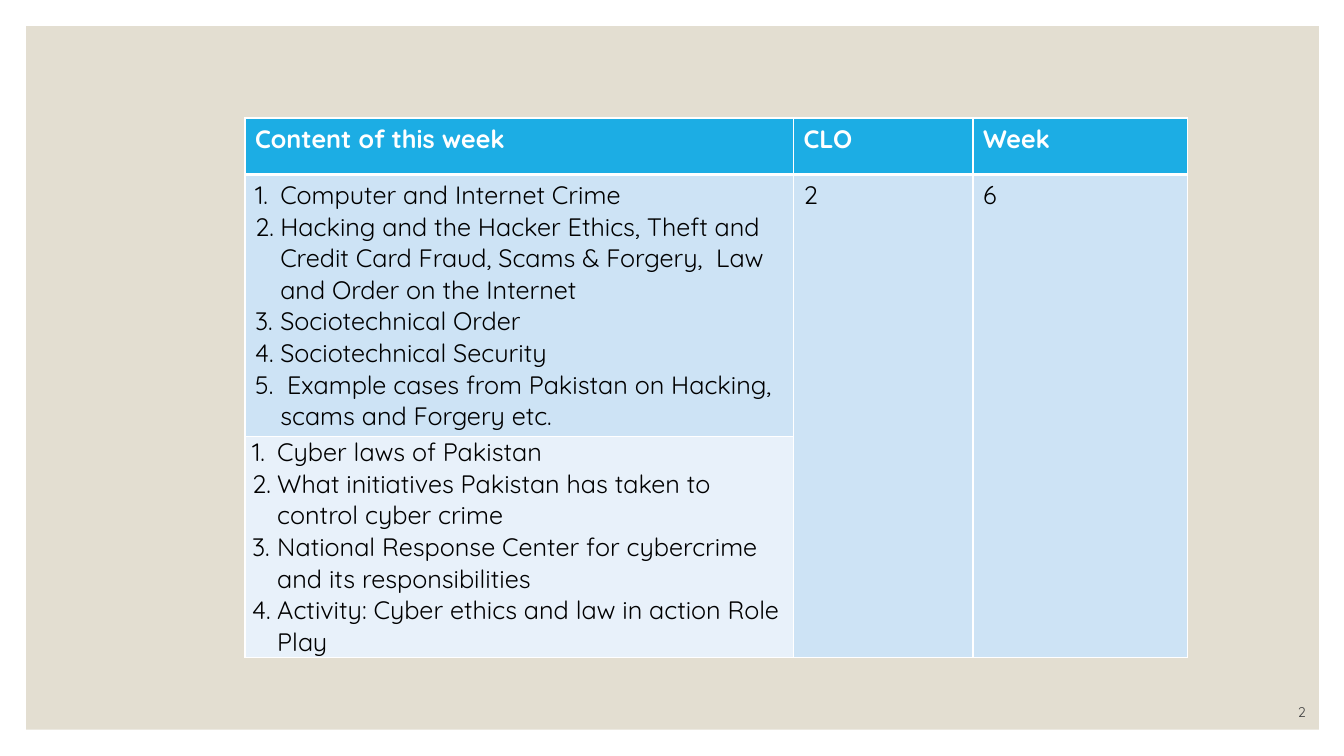
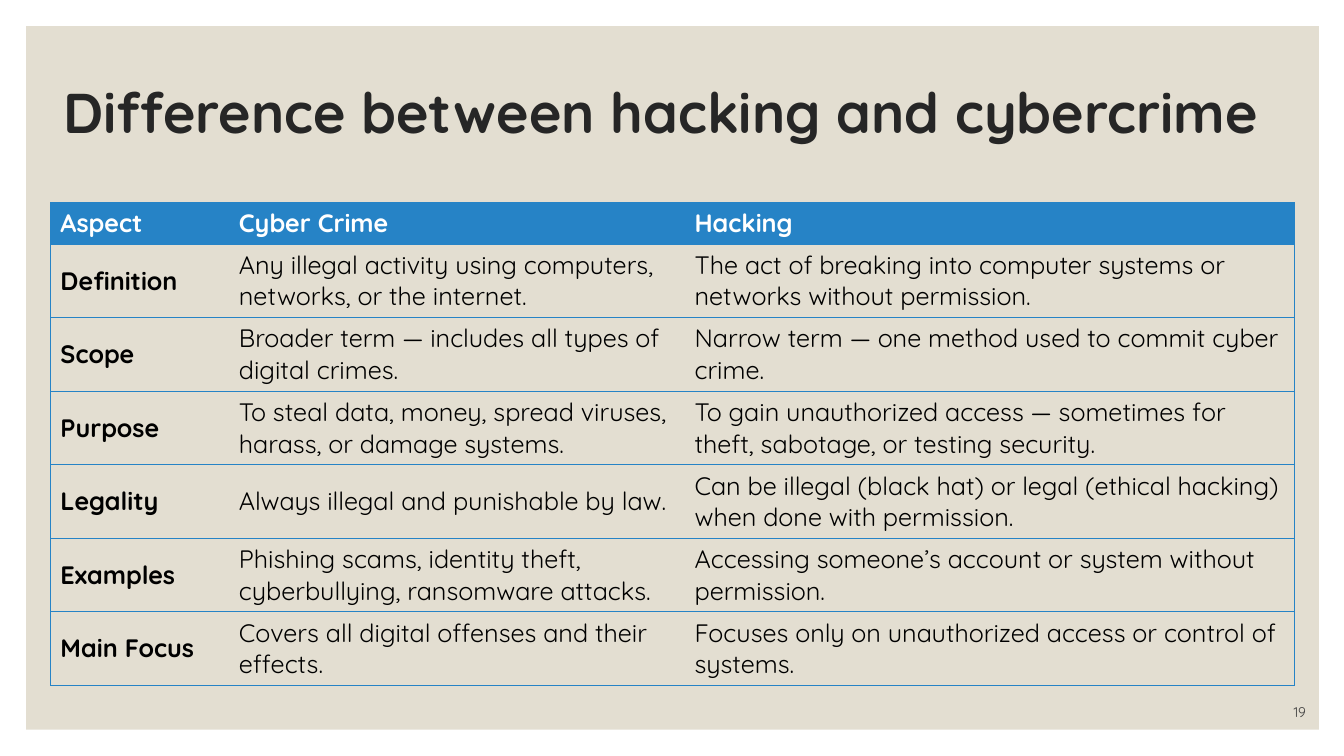
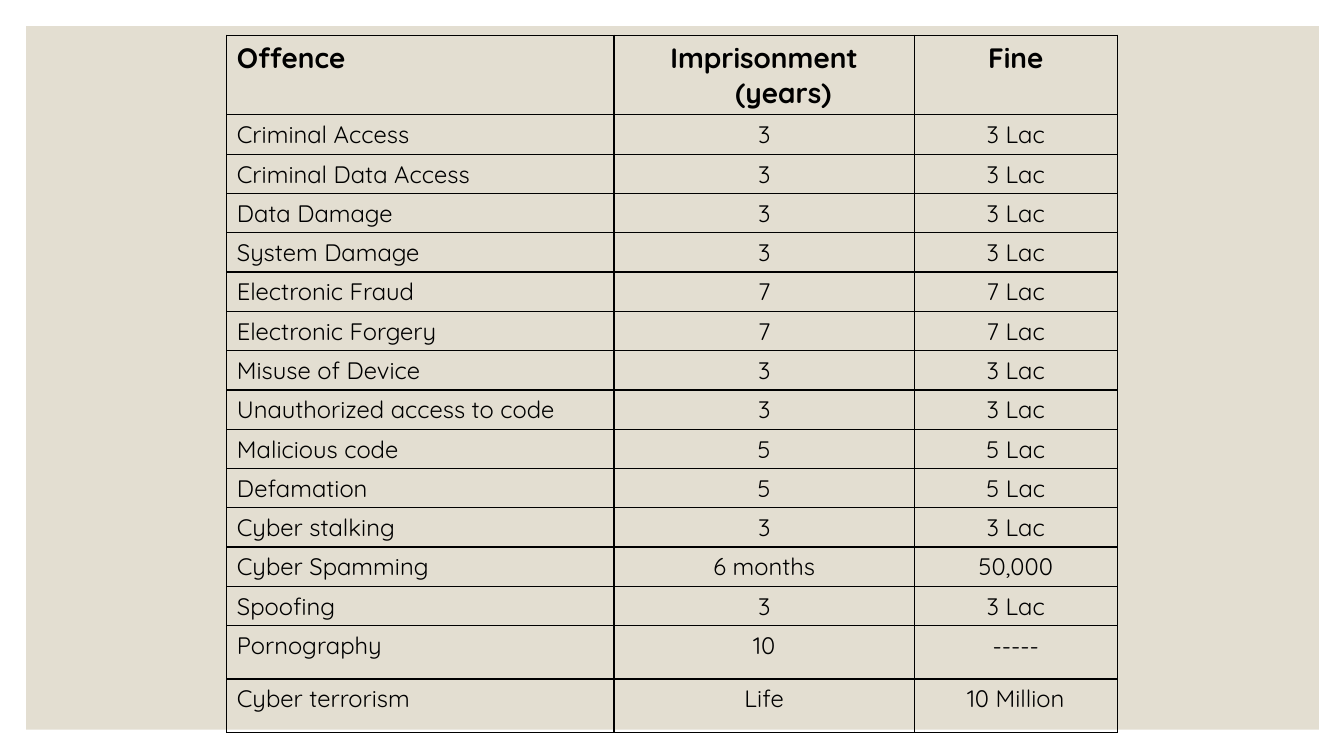
import pptx
import pptx.dml.color
import pptx.enum.shapes
import pptx.enum.text
import pptx.oxml.ns
import pptx.util
from lxml import etree
from pptx.util import Inches

FONT = "Quicksand"
WHITE, BLACK, SAND = "FFFFFF", "000000", "E3DED1"
TITLE_INK, PAGE_INK = "262626", "404040"
CYAN, PALE, PALER, BLUE = "1CADE4", "CDE3F5", "E8F1FA", "2683C6"
NO_STYLE = "{2D5ABB26-0587-4C30-8999-92F81FD0307C}"
ALIGN = pptx.enum.text.PP_ALIGN
ANCHOR = pptx.enum.text.MSO_ANCHOR

# Content
WEEK_HEADER = ("Content of this week", "CLO", "Week")
WEEK_TOPICS = [
    ["Computer and Internet Crime",
     "Hacking and the Hacker Ethics, Theft and Credit Card Fraud, "
     "Scams & Forgery,  Law and Order on the Internet",
     "Sociotechnical Order",
     "Sociotechnical Security",
     " Example cases from Pakistan on Hacking, scams and Forgery etc."],
    ["Cyber laws of Pakistan",
     "What initiatives Pakistan has taken to control cyber crime",
     "National Response Center for cybercrime and its responsibilities",
     "Activity: Cyber ethics and law in action Role Play"],
]
CLO, WEEK = "2", "6"

COMPARISON_TITLE = "Difference between hacking and cybercrime"
COMPARISON = [
    ("Aspect", "Cyber Crime", "Hacking"),
    ("Definition",
     "Any illegal activity using computers, networks, or the internet.",
     "The act of breaking into computer systems or networks without permission."),
    ("Scope",
     "Broader term — includes all types of digital crimes.",
     "Narrow term — one method used to commit cyber crime."),
    ("Purpose",
     "To steal data, money, spread viruses, harass, or damage systems.",
     "To gain unauthorized access — sometimes for theft, sabotage, or testing security."),
    ("Legality",
     "Always illegal and punishable by law.",
     "Can be illegal (black hat) or legal (ethical hacking) when done with permission."),
    ("Examples",
     "Phishing scams, identity theft, cyberbullying, ransomware attacks.",
     "Accessing someone’s account or system without permission."),
    ("Main Focus",
     "Covers all digital offenses and their effects.",
     "Focuses only on unauthorized access or control of systems."),
]

PENALTIES = [
    ("Offence", "Imprisonment (years)", "Fine"),
    ("Criminal Access", "3", "3 Lac"),
    ("Criminal Data Access", "3", "3 Lac"),
    ("Data Damage", "3", "3 Lac"),
    ("System Damage", "3", "3 Lac"),
    ("Electronic Fraud", "7", "7 Lac"),
    ("Electronic Forgery", "7", "7 Lac"),
    ("Misuse of Device", "3", "3 Lac"),
    ("Unauthorized access to code", "3", "3 Lac"),
    ("Malicious code", "5", "5 Lac"),
    ("Defamation", "5", "5 Lac"),
    ("Cyber stalking", "3", "3 Lac"),
    ("Cyber Spamming", "6 months", "50,000"),
    ("Spoofing", "3", "3 Lac"),
    ("Pornography", "10", "-----"),
    ("Cyber terrorism", "Life", "10 Million"),
]


# Shared helpers
def rgb(color):
    return pptx.dml.color.RGBColor.from_string(color)


def write(paragraph, text, size, color, bold=False, align=ALIGN.LEFT):
    paragraph.alignment = align
    run = paragraph.add_run()
    run.text = text
    run.font.name = FONT
    run.font.size = pptx.util.Pt(size)
    run.font.bold = bold
    run.font.color.rgb = rgb(color)


def hang(paragraph, indent, numbered=False):
    properties = paragraph._p.get_or_add_pPr()
    properties.set("marL", str(Inches(indent)))
    properties.set("indent", str(-Inches(indent)))
    if numbered:
        number = etree.SubElement(properties, pptx.oxml.ns.qn("a:buAutoNum"))
        number.set("type", "arabicPeriod")


def add_text(slide, box, text, size, color, bold=False, align=ALIGN.LEFT,
             anchor=ANCHOR.MIDDLE, spacing=1.0):
    frame = slide.shapes.add_textbox(*map(Inches, box)).text_frame
    frame.word_wrap = True
    frame.vertical_anchor = anchor
    frame.paragraphs[0].line_spacing = spacing
    write(frame.paragraphs[0], text, size, color, bold, align)


def add_page(deck, number=None):
    slide = deck.slides.add_slide(deck.slide_layouts[6])
    panel = slide.shapes.add_shape(
        pptx.enum.shapes.MSO_SHAPE.RECTANGLE,
        *map(Inches, (0.26, 0.26, 12.82, 6.98)))
    panel.shadow.inherit = False
    panel.fill.solid()
    panel.fill.fore_color.rgb = rgb(SAND)
    panel.line.fill.background()
    if number:
        add_text(slide, (11.45, 6.9, 1.6, 0.3), number, 10, PAGE_INK,
                 align=ALIGN.RIGHT, anchor=ANCHOR.BOTTOM)
    return slide


def add_grid(slide, left, top, widths, heights):
    frame = slide.shapes.add_table(
        len(heights), len(widths), Inches(left), Inches(top),
        Inches(sum(widths)), Inches(sum(heights)))
    table = frame.table
    table._tbl.tblPr.find(pptx.oxml.ns.qn("a:tableStyleId")).text = NO_STYLE
    table.horz_banding = False
    for column, width in zip(table.columns, widths):
        column.width = Inches(width)
    for row, height in zip(table.rows, heights):
        row.height = Inches(height)
    return table


def dress(cell, fill, borders):
    """Fill a cell and draw its borders, given as {side: (colour, points)}."""
    if fill:
        cell.fill.solid()
        cell.fill.fore_color.rgb = rgb(fill)
    else:
        cell.fill.background()
    properties = cell._tc.get_or_add_tcPr()
    sides = [side for side in "LRTB" if side in borders]
    for position, side in enumerate(sides):
        color, width = borders[side]
        line = etree.Element(pptx.oxml.ns.qn("a:ln" + side),
                             w=str(pptx.util.Pt(width)))
        solid = etree.SubElement(line, pptx.oxml.ns.qn("a:solidFill"))
        etree.SubElement(solid, pptx.oxml.ns.qn("a:srgbClr"), val=color)
        properties.insert(position, line)


# Slides
def add_week_slide(deck):
    slide = add_page(deck, "2")
    table = add_grid(slide, 2.43, 1.17, (5.44, 1.78, 2.13), (0.56, 2.6, 2.19))
    thin, thick = (WHITE, 1), (WHITE, 3)
    for row in range(3):
        for column in range(3):
            fill = CYAN if row == 0 else PALER if (row, column) == (2, 0) else PALE
            borders = dict.fromkeys("LRTB", thin)
            if row < 2:
                borders["B" if row == 0 else "T"] = thick
            dress(table.cell(row, column), fill, borders)

    for column, heading in enumerate(WEEK_HEADER):
        write(table.cell(0, column).text_frame.paragraphs[0], heading, 18, WHITE, True)
    for row, topics in enumerate(WEEK_TOPICS, 1):
        frame = table.cell(row, 0).text_frame
        for index, topic in enumerate(topics):
            paragraph = frame.add_paragraph() if index else frame.paragraphs[0]
            write(paragraph, topic, 18, BLACK)
            hang(paragraph, 0.25, numbered=True)
    second_topics = table.cell(2, 0)
    second_topics.margin_left = second_topics.margin_right = Inches(0.07)
    second_topics.margin_top = second_topics.margin_bottom = 0

    for column, value in ((1, CLO), (2, WEEK)):
        table.cell(1, column).merge(table.cell(2, column))
        write(table.cell(1, column).text_frame.paragraphs[0], value, 18, BLACK)


def add_comparison_slide(deck):
    slide = add_page(deck, "19")
    add_text(slide, (0.53, 0.39, 12.52, 1.5), COMPARISON_TITLE, 40, TITLE_INK,
             bold=True, spacing=0.9)
    heights = [0.41] + [0.73] * (len(COMPARISON) - 1)
    table = add_grid(slide, 0.5, 2.01, (1.77, 4.52, 6.05), heights)
    outer_sides = ("LTB", "TB", "RTB")
    for row, entries in enumerate(COMPARISON):
        for column, entry in enumerate(entries):
            cell = table.cell(row, column)
            cell.vertical_anchor = ANCHOR.MIDDLE
            dress(cell, None if row else BLUE,
                  dict.fromkeys(outer_sides[column], (BLUE, 0.5)))
            write(cell.text_frame.paragraphs[0], entry, 18,
                  BLACK if row else WHITE, bold=row == 0 or column == 0)


def add_penalties_slide(deck):
    slide = add_page(deck)
    heights = [0.79] + [0.39] * (len(PENALTIES) - 3) + [0.53] * 2
    table = add_grid(slide, 2.25, 0.35, (3.84, 2.98, 2.01), heights)
    for row, entries in enumerate(PENALTIES):
        for column, entry in enumerate(entries):
            cell = table.cell(row, column)
            dress(cell, None, dict.fromkeys("LRTB", (BLACK, 1)))
            paragraph = cell.text_frame.paragraphs[0]
            write(paragraph, entry, 17 if row else 20, BLACK, bold=row == 0,
                  align=ALIGN.CENTER if column else ALIGN.JUSTIFY)
            hang(paragraph, 0.38)


def main():
    deck = pptx.Presentation()
    deck.slide_width, deck.slide_height = Inches(13.33), Inches(7.5)
    add_week_slide(deck)
    add_comparison_slide(deck)
    add_penalties_slide(deck)
    deck.save("out.pptx")


if __name__ == "__main__":
    main()
